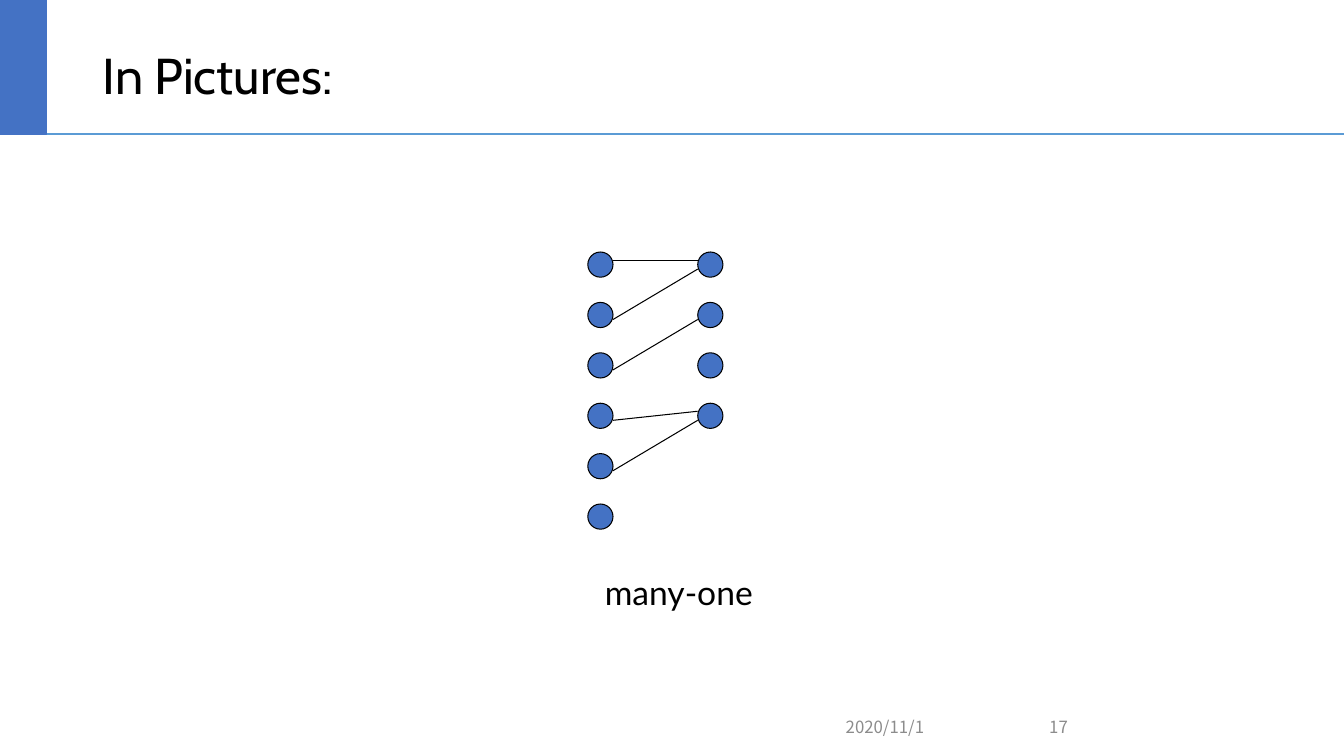
from dataclasses import dataclass

from lxml import etree
from pptx import Presentation
from pptx.dml.color import RGBColor
from pptx.enum.shapes import MSO_CONNECTOR, MSO_SHAPE
from pptx.enum.text import MSO_ANCHOR, MSO_AUTO_SIZE, PP_ALIGN
from pptx.oxml.ns import qn
from pptx.slide import Slide
from pptx.text.text import TextFrame
from pptx.util import Inches, Pt

STRAIGHT = MSO_CONNECTOR.STRAIGHT
RECTANGLE, OVAL = MSO_SHAPE.RECTANGLE, MSO_SHAPE.OVAL
MIDDLE = MSO_ANCHOR.MIDDLE
NO_AUTOFIT = MSO_AUTO_SIZE.NONE
LEFT, RIGHT = PP_ALIGN.LEFT, PP_ALIGN.RIGHT

BLUE = RGBColor(0x44, 0x72, 0xC4)
RULE_BLUE = RGBColor(0x5B, 0x9B, 0xD5)
BLACK = RGBColor(0, 0, 0)
GREY = RGBColor(0x8C, 0x8C, 0x8C)

SLIDE_WIDTH, SLIDE_HEIGHT = 13.33, 7.5
HEADER_HEIGHT = 1.33
DOT_SIZE = 0.25
DOMAIN_X, CODOMAIN_X = 5.83, 6.92
FIRST_ROW_Y, ROW_STEP = 2.5, 0.5
DOMAIN_COUNT, CODOMAIN_COUNT = 6, 4
UPPER, LOWER = 0.08, 0.17  # where a line meets a dot, below the dot's top


@dataclass(frozen=True)
class Mapping:
    source_row: int
    source_offset: float
    target_row: int
    target_offset: float


@dataclass(frozen=True)
class Label:
    text: str
    left: float
    top: float
    width: float
    height: float
    font: str
    size: int
    color: RGBColor
    align: PP_ALIGN = LEFT


MAPPINGS = [
    Mapping(0, UPPER, 0, UPPER),
    Mapping(1, LOWER, 0, LOWER),
    Mapping(2, LOWER, 1, LOWER),
    Mapping(3, LOWER, 3, UPPER),
    Mapping(4, LOWER, 3, LOWER),
]

TITLE = Label("In Pictures:", 0.92, 0.22, 11.5, 1.11, "Cabin", 36, BLACK)
LABELS = [
    Label("2020/11/1", 8.29, 7.01, 1.67, 0.4, "Noto Sans CJK SC", 12, GREY),
    Label("17", 9.99, 7.01, 0.7, 0.4, "Noto Sans CJK SC", 12, GREY, RIGHT),
    Label("many-one", 5.9, 5.62, 1.67, 0.5, "Lato", 24, BLACK),
]


def row_y(row: int) -> float:
    return FIRST_ROW_Y + row * ROW_STEP


def write_label(frame: TextFrame, label: Label) -> None:
    frame.word_wrap = True
    frame.auto_size = NO_AUTOFIT
    frame.vertical_anchor = MIDDLE
    paragraph = frame.paragraphs[0]
    paragraph.alignment = label.align
    run = paragraph.add_run()
    run.text = label.text
    run.font.name = label.font
    run.font.size = Pt(label.size)
    run.font.color.rgb = label.color


def add_label(slide: Slide, label: Label) -> None:
    box = slide.shapes.add_textbox(Inches(label.left), Inches(label.top),
                                   Inches(label.width), Inches(label.height))
    write_label(box.text_frame, label)


def add_blue_shape(slide: Slide, kind: MSO_SHAPE, left: float, top: float,
                   width: float, height: float, line_color: RGBColor,
                   line_width: float) -> None:
    shape = slide.shapes.add_shape(kind, Inches(left), Inches(top),
                                   Inches(width), Inches(height))
    shape.shadow.inherit = False
    shape.fill.solid()
    shape.fill.fore_color.rgb = BLUE
    shape.line.color.rgb = line_color
    shape.line.width = Pt(line_width)


def add_line(slide: Slide, x1: float, y1: float, x2: float, y2: float,
             color: RGBColor, width: float) -> None:
    line = slide.shapes.add_connector(STRAIGHT, Inches(x1), Inches(y1),
                                      Inches(x2), Inches(y2))
    line.line.color.rgb = color
    line.line.width = Pt(width)
    etree.SubElement(line._element.spPr, qn("a:effectLst"))


def main() -> None:
    presentation = Presentation()
    presentation.slide_width = Inches(SLIDE_WIDTH)
    presentation.slide_height = Inches(SLIDE_HEIGHT)
    slide = presentation.slides.add_slide(presentation.slide_layouts[5])

    # Header
    add_line(slide, 0, HEADER_HEIGHT, SLIDE_WIDTH, HEADER_HEIGHT, RULE_BLUE, 1)
    add_blue_shape(slide, RECTANGLE, -0.01, 0, 0.47, HEADER_HEIGHT, BLUE, 1)
    title = slide.shapes.title
    title.left, title.top = Inches(TITLE.left), Inches(TITLE.top)
    title.width, title.height = Inches(TITLE.width), Inches(TITLE.height)
    write_label(title.text_frame, TITLE)
    title.text_frame.paragraphs[0].line_spacing = 0.9

    # Dots of both sets
    for column_x, count in ((DOMAIN_X, DOMAIN_COUNT),
                            (CODOMAIN_X, CODOMAIN_COUNT)):
        for row in range(count):
            add_blue_shape(slide, OVAL, column_x, row_y(row),
                           DOT_SIZE, DOT_SIZE, BLACK, 0.75)

    # Mapping lines
    for mapping in MAPPINGS:
        add_line(slide,
                 DOMAIN_X + DOT_SIZE,
                 row_y(mapping.source_row) + mapping.source_offset,
                 CODOMAIN_X,
                 row_y(mapping.target_row) + mapping.target_offset,
                 BLACK, 0.75)

    # Caption and footer
    for label in LABELS:
        add_label(slide, label)

    presentation.save("out.pptx")


if __name__ == "__main__":
    main()
